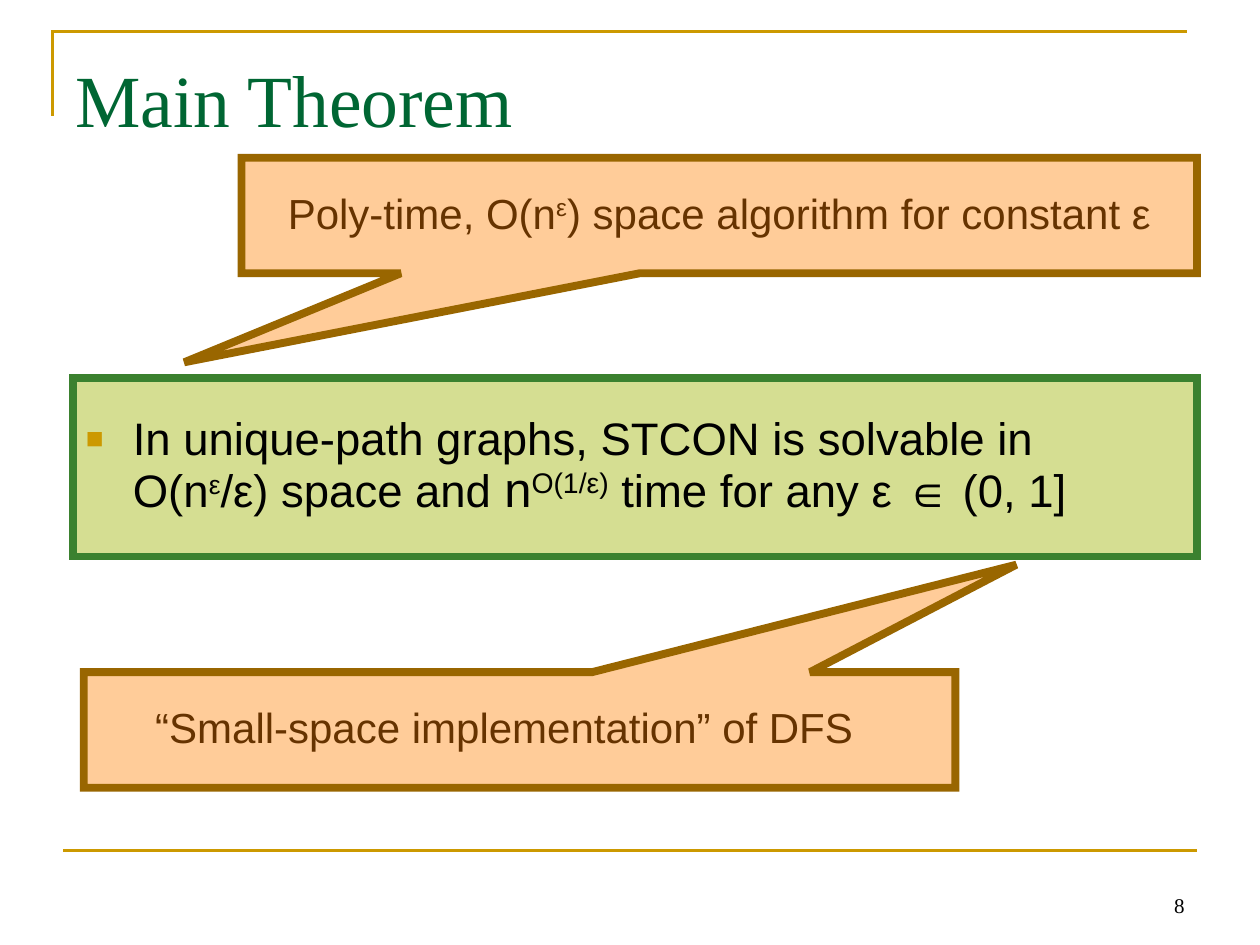
from lxml.etree import SubElement
from pptx import Presentation
from pptx.dml.color import RGBColor as Rgb
from pptx.enum.shapes import MSO_CONNECTOR as Link, MSO_SHAPE as Kind
from pptx.enum.text import MSO_ANCHOR as Anchor, PP_ALIGN as Align
from pptx.oxml.ns import qn
from pptx.util import Cm, Pt

HUES = {"gold": "CC9900", "title": "006633", "black": "000000",
        "lime": "D5DE92", "green": "3B812F",
        "peach": "FFCC99", "brown": "996600", "dark": "663300"}

# Runs are (text, raised, size); a size of None takes the paragraph's size.
THEOREM = [("In unique-path graphs, STCON is solvable in\nO(n", False, None),
           ("ε", True, None), ("/ε) space and ", False, None),
           ("n", False, 28), ("O(1/ε)", True, 28),
           (" time for any ε ∈ (0, 1]", False, None)]
POLY = [("Poly-time, O(n", False, None), ("ε", True, None),
        (") space algorithm for constant ε", False, None)]
SMALL = [("“Small-space implementation” of DFS", False, None)]

# Boxes are left, top, width, height in cm.
CALLS = [
    {"box": (4.87, 3.18, 19.26, 2.33), "tip": (-0.56, 1.27),
     "runs": POLY, "align": Align.CENTER, "indent": 0},
    {"box": (1.69, 13.55, 17.57, 2.33), "tip": (0.57, -1.43),
     "runs": SMALL, "align": Align.LEFT, "indent": 1.19},
]
FRAME = [(1.06, 2.33), (1.06, 0.64), (23.92, 0.64)]
RULE = (1.27, 17.15, 24.13, 17.15)


def hue(name):
    return Rgb.from_string(HUES[name])


def write(shape, runs, size=24, font="Arial", color="black", align=Align.LEFT,
          anchor=Anchor.MIDDLE, space=1.0, indent=0, bullet=None, top=0.13):
    frame = shape.text_frame
    frame.word_wrap = True
    frame.vertical_anchor = anchor
    frame.margin_top = Cm(top)
    para = frame.paragraphs[0]
    para.alignment, para.line_spacing = align, space
    props = para._p.get_or_add_pPr()
    props.set("marL", str(Cm(indent)))
    if bullet:
        props.set("indent", str(-Cm(indent)))
        tint = SubElement(props, qn("a:buClr"))
        SubElement(tint, qn("a:srgbClr"), val=HUES["gold"])
        SubElement(props, qn("a:buSzPct"), val="65000")
        SubElement(props, qn("a:buFont"), typeface="Arial")
        SubElement(props, qn("a:buChar"), char=bullet)
    for text, raised, own in runs:
        for i, part in enumerate(text.split("\n")):
            if i:
                para.add_line_break()
            run = para.add_run()
            run.text = part
            run.font.name, run.font.size = font, Pt(own or size)
            run.font.color.rgb = hue(color)
            if raised:
                run.font._element.set("baseline", "30000")


def stroke(shape, color, width):
    shape.line.color.rgb = hue(color)
    shape.line.width = Pt(width)
    SubElement(shape.line._get_or_add_ln(), qn("a:miter"), lim="800000")


def block(slide, kind, box, fill, edge):
    shape = slide.shapes.add_shape(kind, *map(Cm, box))
    shape.shadow.inherit = False
    shape.fill.solid()
    shape.fill.fore_color.rgb = hue(fill)
    stroke(shape, edge, 4.5)
    return shape


def rules(slide):
    """Draw the corner line at the top and the line above the footer."""
    pts = [(Cm(x), Cm(y)) for x, y in FRAME]
    pen = slide.shapes.build_freeform(*pts[0])
    pen.add_line_segments(pts[1:], close=False)
    corner = pen.convert_to_shape()
    corner.shadow.inherit = False
    corner.fill.background()
    stroke(corner, "gold", 1.5)
    foot = slide.shapes.add_connector(Link.STRAIGHT, *map(Cm, RULE))
    stroke(foot, "gold", 1.5)
    SubElement(foot._element.spPr, qn("a:effectLst"))


def main():
    deck = Presentation()
    deck.slide_width, deck.slide_height = Cm(25.4), Cm(19.05)
    slide = deck.slides.add_slide(deck.slide_layouts[6])
    rules(slide)

    title = slide.shapes.add_textbox(Cm(1.27), Cm(0.76), Cm(22.86), Cm(3.18))
    write(title, [("Main Theorem", False, None)], size=42, color="title",
          font="Times New Roman", anchor=Anchor.TOP, top=0.33)

    theorem = block(slide, Kind.RECTANGLE, (1.48, 7.62, 22.65, 3.6),
                    "lime", "green")
    write(theorem, THEOREM, size=26, space=0.9, indent=0.95, bullet="■")

    for call in CALLS:
        shape = block(slide, Kind.RECTANGULAR_CALLOUT, call["box"],
                      "peach", "brown")
        shape.adjustments[0], shape.adjustments[1] = call["tip"]
        write(shape, call["runs"], color="dark", space=0.9,
              align=call["align"], indent=call["indent"])

    page = slide.shapes.add_textbox(Cm(18.2), Cm(17.36), Cm(5.93), Cm(1.27))
    write(page, [("8", False, None)], size=12, font="Times New Roman",
          align=Align.RIGHT, anchor=Anchor.BOTTOM)
    deck.save("out.pptx")


if __name__ == "__main__":
    main()
